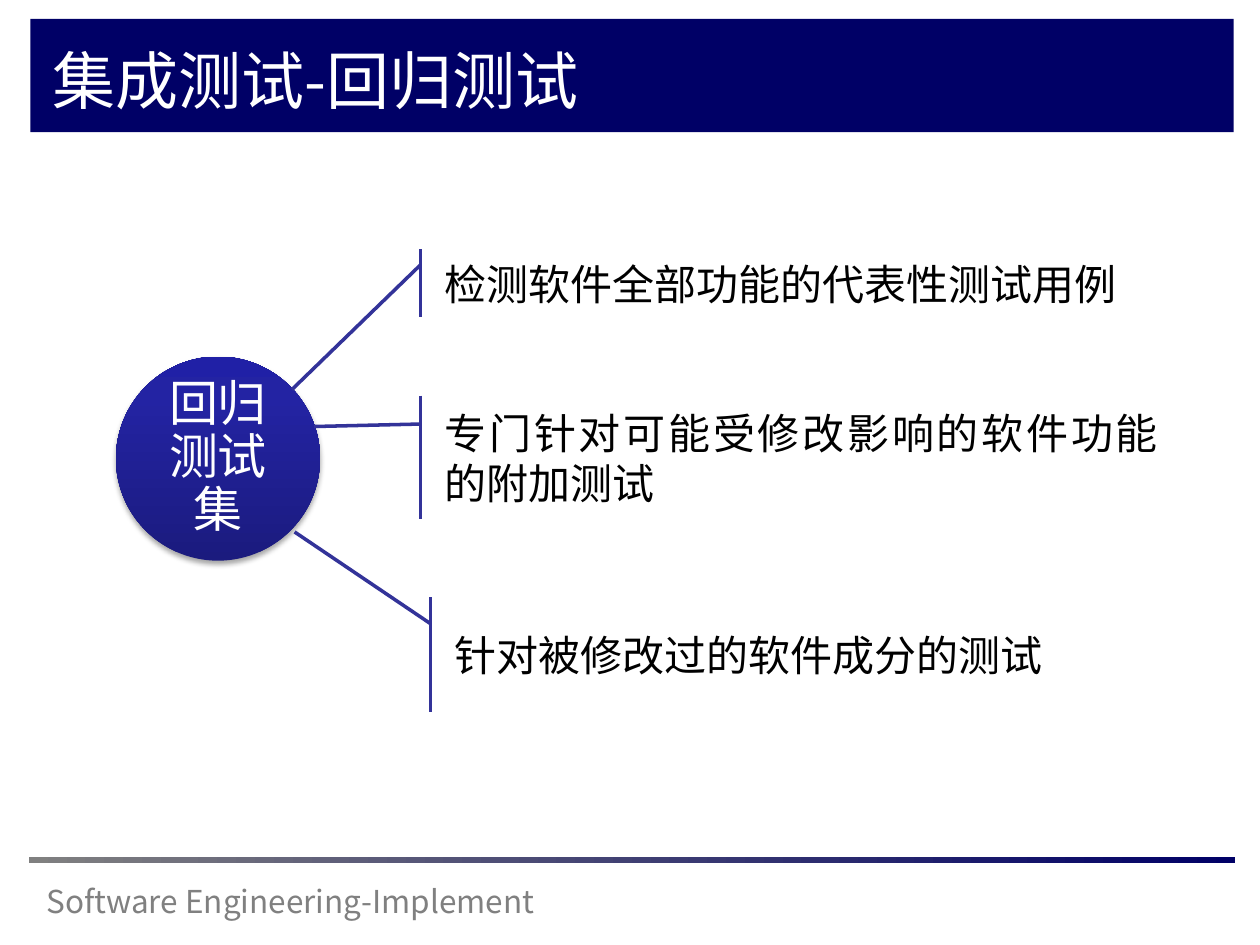
import pptx
import pptx.util
import pptx.dml.color
import pptx.enum.shapes
import pptx.enum.text
import pptx.oxml
import pptx.oxml.ns
from pptx.util import Inches

FONT = "Noto Sans CJK SC"
COLORS = {
    "navy": "000066", "gray": "808080", "white": "FFFFFF", "black": "000000",
    "outline": "333399",
}
TITLE = "集成测试-回归测试"
FOOTER = "Software Engineering-Implement"
HUB = "回归测试集"
HUB_STOPS = [(0, "1B1B7E"), (80, "2323A3"), (100, "2020A6")]
BAR_STOPS = [(0, COLORS["gray"]), (100, COLORS["navy"])]

# text, left, top, height, leader end as (down, across) fractions of the callout
CALLOUTS = [
    ("检测软件全部功能的代表性测试用例", 3.43, 1.98, 0.54, (2.06, -0.19)),
    ("专门针对可能受修改影响的软件功能的附加测试", 3.43, 3.14, 0.98, (0.25, -0.16)),
    ("针对被修改过的软件成分的测试", 3.51, 4.74, 0.91, (-0.57, -0.2)),
]
CALLOUT_WIDTH = 5.86
LEADER_START = (0.23, -0.016)

SHAPE = pptx.enum.shapes.MSO_SHAPE
ALIGN = pptx.enum.text.PP_ALIGN
ANCHOR = pptx.enum.text.MSO_ANCHOR


def rgb(value):
    return pptx.dml.color.RGBColor.from_string(value)


def parse_drawing(xml):
    return pptx.oxml.parse_xml(xml.replace(">", f" {pptx.oxml.ns.nsdecls('a')}>", 1))


def write_text(shape, text, size, color, align=ALIGN.LEFT, anchor=ANCHOR.MIDDLE,
               line_spacing=None, inset=None):
    frame = shape.text_frame
    frame.word_wrap = True
    frame.auto_size = pptx.enum.text.MSO_AUTO_SIZE.NONE
    frame.vertical_anchor = anchor
    if inset is not None:
        frame.margin_left = frame.margin_right = Inches(inset)
        frame.margin_top = frame.margin_bottom = Inches(inset)
    paragraph = frame.paragraphs[0]
    paragraph.alignment = align
    if line_spacing:
        paragraph.line_spacing = line_spacing
    run = paragraph.add_run()
    run.text = text
    run.font.size = pptx.util.Pt(size)
    run.font.name = FONT
    run.font.color.rgb = rgb(color)
    run.font._element.append(parse_drawing(f'<a:ea typeface="{FONT}"></a:ea>'))


def add_shape(slide, kind, box, fill=None, line=None):
    shape = slide.shapes.add_shape(kind, *map(Inches, box))
    shape.shadow.inherit = False
    if fill:
        shape.fill.solid()
        shape.fill.fore_color.rgb = rgb(fill)
    if line:
        shape.line.color.rgb = rgb(line)
        shape.line.width = pptx.util.Pt(2)
    else:
        shape.line.fill.background()
    return shape


def fill_gradient(shape, stops, angle):
    """Fill with (percent, colour) stops; the angle runs counter-clockwise."""
    shape.fill.gradient()
    shape.fill.gradient_angle = angle
    stop_list = shape._element.spPr.find(".//" + pptx.oxml.ns.qn("a:gsLst"))
    for stop in list(stop_list):
        stop_list.remove(stop)
    for percent, color in stops:
        stop_list.append(parse_drawing(
            f'<a:gs pos="{percent * 1000}"><a:srgbClr val="{color}"/></a:gs>'))


def add_soft_shadow(shape):
    effects = shape._element.spPr.find(pptx.oxml.ns.qn("a:effectLst"))
    effects.append(parse_drawing(
        '<a:outerShdw blurRad="39370" dist="22860" dir="5400000" rotWithShape="0">'
        f'<a:srgbClr val="{COLORS["black"]}"><a:alpha val="35000"/></a:srgbClr>'
        '</a:outerShdw>'))


def add_frame(slide):
    """Draw the title band, the title, the footer and its rule."""
    band = add_shape(slide, SHAPE.RECTANGLE, (0.24, 0.15, 9.55, 0.9), COLORS["navy"])
    title = slide.shapes.title
    band._element.addnext(title._element)
    title.left, title.top, title.width, title.height = map(
        Inches, (0.32, 0.26, 8.81, 0.74))
    write_text(title, TITLE, 36, COLORS["white"])
    footer = slide.shapes.add_textbox(*map(Inches, (0.27, 6.95, 5.17, 0.4)))
    write_text(footer, FOOTER, 18, COLORS["gray"], anchor=ANCHOR.TOP)
    rule = add_shape(slide, SHAPE.RECTANGLE, (0.23, 6.8, 9.57, 0.05))
    fill_gradient(rule, BAR_STOPS, 0)


def add_hub(slide):
    hub = add_shape(slide, SHAPE.OVAL, (0.92, 2.83, 1.62, 1.62))
    fill_gradient(hub, HUB_STOPS, 90)
    add_soft_shadow(hub)
    write_text(hub, HUB, 28, COLORS["white"], align=ALIGN.CENTER,
               line_spacing=0.9, inset=0.05)


def add_callout(slide, text, left, top, height, leader_end):
    callout = add_shape(slide, SHAPE.LINE_CALLOUT_1_ACCENT_BAR,
                        (left, top, CALLOUT_WIDTH, height),
                        COLORS["white"], COLORS["outline"])
    for index, value in enumerate(LEADER_START + leader_end):
        callout.adjustments[index] = value
    write_text(callout, text, 24, COLORS["black"], align=ALIGN.JUSTIFY)


def main():
    presentation = pptx.Presentation()
    presentation.slide_width = Inches(10)
    presentation.slide_height = Inches(7.5)
    slide = presentation.slides.add_slide(presentation.slide_layouts[5])
    add_frame(slide)
    add_hub(slide)
    for callout in CALLOUTS:
        add_callout(slide, *callout)
    presentation.save("out.pptx")


if __name__ == "__main__":
    main()
